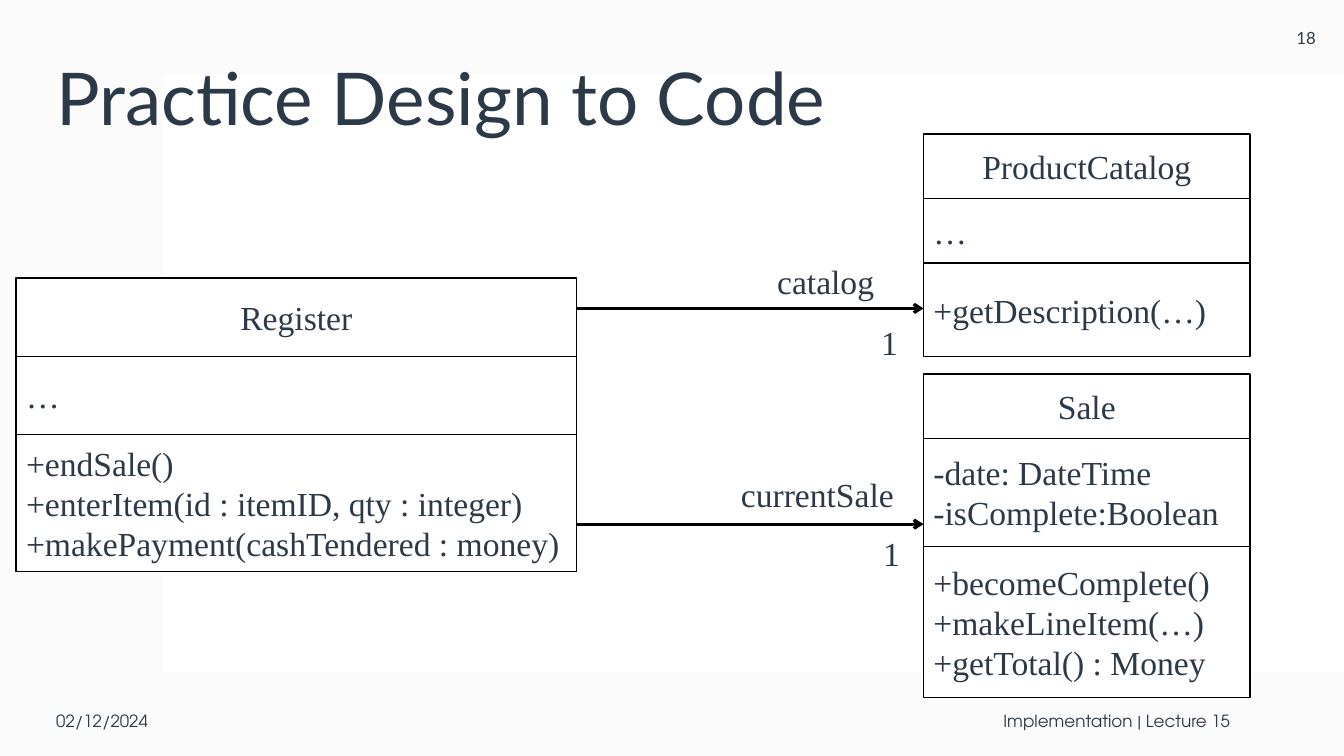
from lxml import etree
from pptx import Presentation
from pptx.dml.color import RGBColor
from pptx.enum.shapes import MSO_CONNECTOR, MSO_SHAPE
from pptx.enum.text import MSO_ANCHOR, MSO_AUTO_SIZE, PP_ALIGN
from pptx.oxml.ns import qn
from pptx.util import Inches, Pt

# Content
TITLE = "Practice Design to Code"
# Each class: left, top, width, then (height, lines) of every compartment
CLASSES = [
    (0.16, 2.76, 5.56, [
        (0.775, ["Register"]),
        (0.775, ["…"]),
        (1.36, ["+endSale()", "+enterItem(id : itemID, qty : integer)",
                "+makePayment(cashTendered : money)"])]),
    (9.16, 1.33, 3.24, [
        (0.64, ["ProductCatalog"]),
        (0.64, ["…"]),
        (0.93, ["+getDescription(…)"])]),
    (9.16, 3.71, 3.24, [
        (0.64, ["Sale"]),
        (1.07, ["-date: DateTime", "-isComplete:Boolean"]),
        (1.5, ["+becomeComplete()", "+makeLineItem(…)", "+getTotal() : Money"])]),
]
ARROW_YS = [3.06, 5.2]
LABELS = [  # text, left, top, width
    ("catalog", 7.61, 2.54, 1.73),
    ("1", 8.64, 3.14, 0.34),
    ("currentSale", 7.25, 4.65, 1.73),
    ("1", 8.66, 5.24, 0.34),
]
FURNITURE = [  # text, box, font, alignment
    ("18", (12.58, 0, 0.75, 0.75), "Lato", PP_ALIGN.CENTER),
    ("02/12/2024", (0.46, 6.8, 3, 0.7), "TeX Gyre Adventor", PP_ALIGN.LEFT),
    ("Implementation | Lecture 15", (4.12, 6.8, 8.18, 0.7),
     "TeX Gyre Adventor", PP_ALIGN.RIGHT),
]
INK, BLACK, WHITE, PALE = "2C3948", "000000", "FFFFFF", "FBFBFB"
DIAGRAM = {"name": "Times New Roman", "size": Pt(24)}


def color(value):
    return RGBColor.from_string(value)


def write(sp, lines, font, align=PP_ALIGN.LEFT, anchor=MSO_ANCHOR.MIDDLE):
    tf = sp.text_frame
    tf.word_wrap = True
    tf.vertical_anchor = anchor
    for i, line in enumerate(lines):
        p = tf.paragraphs[0] if i == 0 else tf.add_paragraph()
        p.alignment = align
        r = p.add_run()
        r.text = line
        for key, value in font.items():
            setattr(r.font, key, value)
        r.font.color.rgb = color(INK)


def add_box(shapes, box, line=None):
    sp = shapes.add_shape(MSO_SHAPE.RECTANGLE, *map(Inches, box))
    sp.shadow.inherit = False
    sp.fill.solid()
    sp.fill.fore_color.rgb = color(WHITE)
    if line:
        sp.line.color.rgb = color(line)
        sp.line.width = Pt(1)
    else:
        sp.line.fill.background()
    return sp


def add_arrow(shapes, x1, x2, y):
    cn = shapes.add_connector(MSO_CONNECTOR.STRAIGHT, *map(Inches, (x1, y, x2, y)))
    cn.line.color.rgb = color(BLACK)
    cn.line.width = Pt(2.25)
    etree.SubElement(cn.line._get_or_add_ln(), qn("a:tailEnd"), type="arrow")
    etree.SubElement(cn._element.spPr, qn("a:effectLst"))


prs = Presentation()
prs.slide_width, prs.slide_height = Inches(13.33), Inches(7.5)
slide = prs.slides.add_slide(prs.slide_layouts[5])
shapes = slide.shapes

# Background and white panel, placed behind the title
slide.background.fill.solid()
slide.background.fill.fore_color.rgb = color(PALE)
panel = add_box(shapes, (1.62, 0.74, 11.71, 5.93))
shapes._spTree.insert(2, panel._element)

# Title
title = shapes.title
title.left, title.top, title.width, title.height = map(Inches, (0.46, 0.4, 11.82, 1.23))
write(title, [TITLE], {"name": "Lato", "size": Pt(52)})
title.text_frame.auto_size = MSO_AUTO_SIZE.NONE
title.text_frame.paragraphs[0].line_spacing = 0.9

# Page number, date and footer
for text, box, name, align in FURNITURE:
    sp = shapes.add_textbox(*map(Inches, box))
    write(sp, [text], {"name": name, "size": Pt(12)}, align)

# Class boxes, compartments stacked from the top
for left, top, width, parts in CLASSES:
    group = shapes.add_group_shape()
    for i, (height, lines) in enumerate(parts):
        sp = add_box(group.shapes, (left, top, width, height), BLACK)
        write(sp, lines, DIAGRAM, PP_ALIGN.LEFT if i else PP_ALIGN.CENTER)
        top += height

# Associations, from the right edge of Register to the other classes
register, target = CLASSES[0], CLASSES[1]
for y in ARROW_YS:
    add_arrow(shapes, register[0] + register[2], target[0], y)
for text, left, top, width in LABELS:
    sp = shapes.add_textbox(*map(Inches, (left, top, width, 0.5)))
    write(sp, [text], DIAGRAM, anchor=MSO_ANCHOR.TOP)

prs.save("out.pptx")
